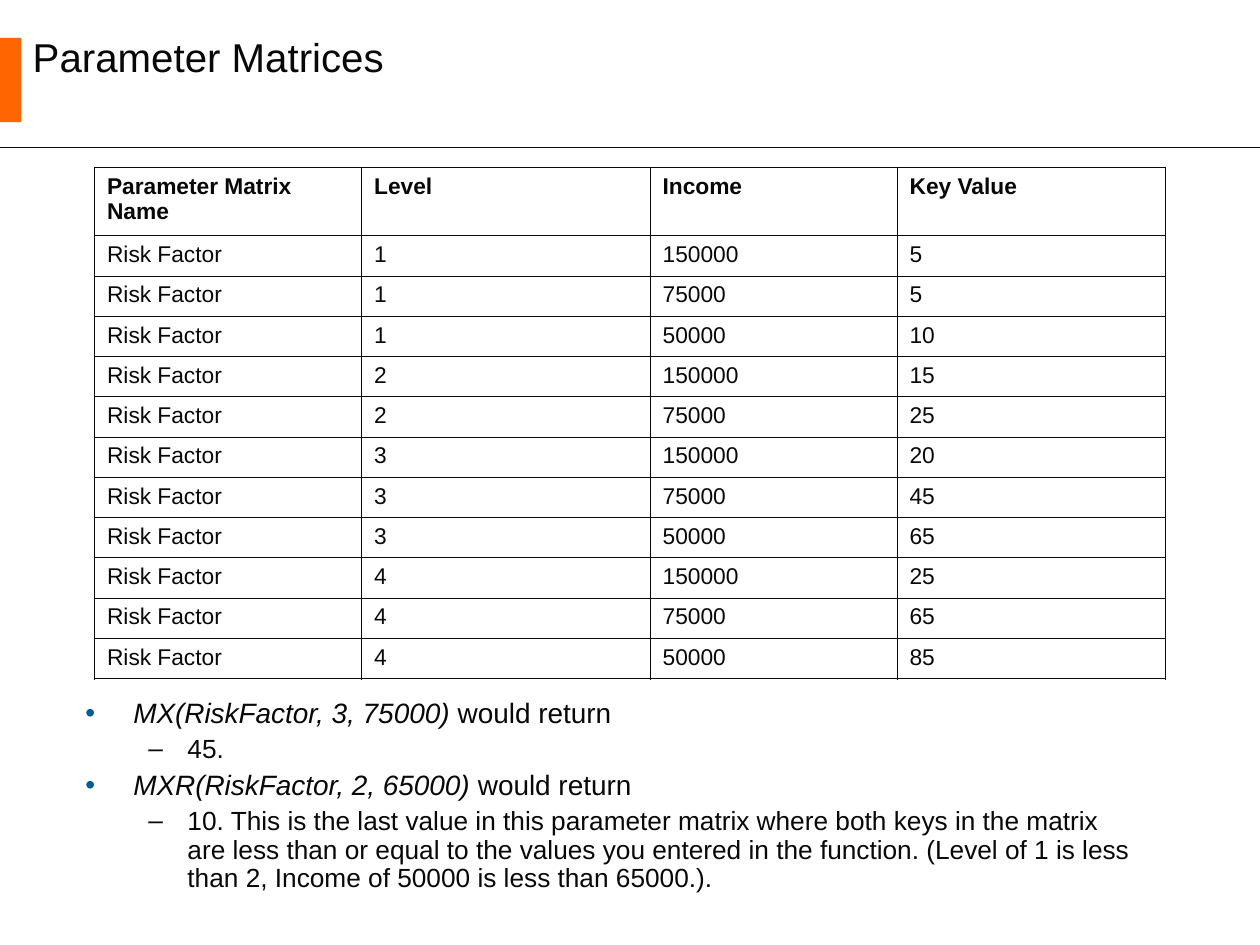
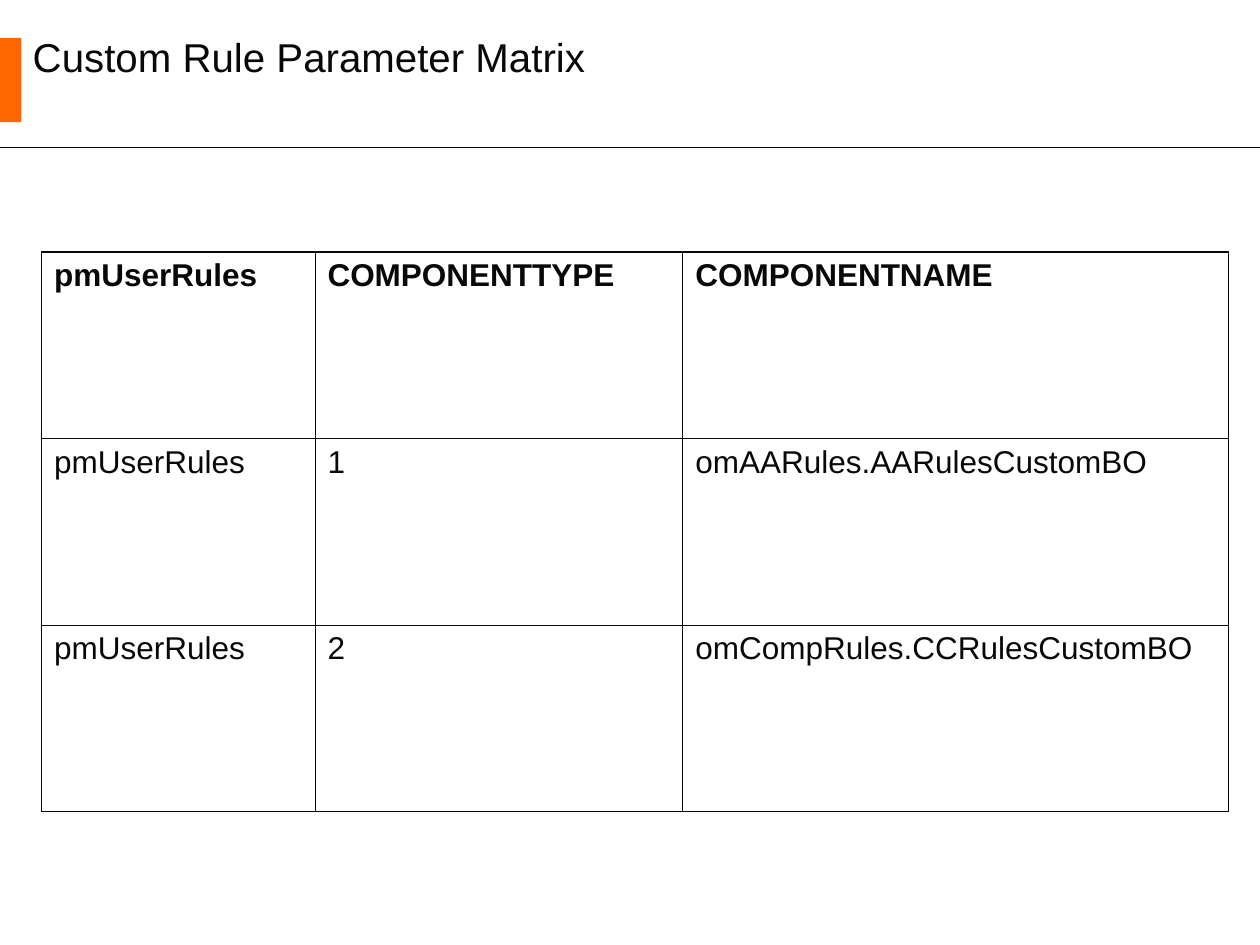
import pptx
import pptx.dml.color
import pptx.enum.shapes
import pptx.enum.text
import pptx.oxml.ns
import pptx.util
from lxml import etree
from pptx.util import Inches, Pt

COLORS = {"ink": "080808", "accent": "FF6600", "bullet": "005A9C"}
FONT = "Arial"
THIN, THICK = 0.45, 1.08
TITLE_ONLY = 5

FRAME_FORMAT = {
    "word_wrap": True,
    "auto_size": pptx.enum.text.MSO_AUTO_SIZE.NONE,
    "vertical_anchor": pptx.enum.text.MSO_ANCHOR.TOP,
    "margin_left": Inches(0.1),
    "margin_right": Inches(0.1),
    "margin_top": Inches(0.05),
    "margin_bottom": Inches(0.05),
}
BULLET_LEVELS = [
    {"char": "•", "color": "bullet", "margin": 0.38, "hang": 0.38, "size": 16, "before": 4},
    {"char": "–", "color": "ink", "margin": 0.81, "hang": 0.31, "size": 15, "before": 3.7},
]

RISK_HEADER = ("Parameter Matrix Name", "Level", "Income", "Key Value")
RISK_KEYS = [
    (1, 150000, 5), (1, 75000, 5), (1, 50000, 10),
    (2, 150000, 15), (2, 75000, 25),
    (3, 150000, 20), (3, 75000, 45), (3, 50000, 65),
    (4, 150000, 25), (4, 75000, 65), (4, 50000, 85),
]
RULE_ROWS = [
    ("pmUserRules", "COMPONENTTYPE", "COMPONENTNAME"),
    ("pmUserRules", 1, "omAARules.AARulesCustomBO"),
    ("pmUserRules", 2, "omCompRules.CCRulesCustomBO"),
]
# Each entry: level, function call in italics, plain text
RISK_EXAMPLES = [
    (0, "MX(RiskFactor, 3, 75000)", " would return"),
    (1, "", "45."),
    (0, "MXR(RiskFactor, 2, 65000)", " would return"),
    (1, "", "10. This is the last value in this parameter matrix where both keys in the "
            "matrix are less than or equal to the values you entered in the function. "
            "(Level of 1 is less than 2, Income of 50000 is less than 65000.)."),
]


def color(name):
    return pptx.dml.color.RGBColor.from_string(COLORS[name])


def apply_format(target, values):
    for attribute, value in values.items():
        setattr(target, attribute, value)


def add_xml(parent, tag, **attributes):
    return etree.SubElement(parent, pptx.oxml.ns.qn(tag), attributes)


def add_run(paragraph, text, size, bold=False, italic=False):
    run = paragraph.add_run()
    run.text = text
    apply_format(run.font, {"name": FONT, "size": Pt(size), "bold": bold, "italic": italic})
    run.font.color.rgb = color("ink")


def add_titled_slide(deck, title, title_height):
    """Add a slide with the accent band, the rule under the header and the title."""
    slide = deck.slides.add_slide(deck.slide_layouts[TITLE_ONLY])

    band = slide.shapes.add_shape(pptx.enum.shapes.MSO_SHAPE.RECTANGLE,
                                  0, Inches(0.3), Inches(0.17), Inches(0.67))
    band.shadow.inherit = False
    band.fill.solid()
    band.fill.fore_color.rgb = color("accent")
    band.line.fill.background()

    header_rule = slide.shapes.add_connector(pptx.enum.shapes.MSO_CONNECTOR.STRAIGHT,
                                             0, Inches(1.17), deck.slide_width, Inches(1.17))
    header_rule.line.color.rgb = color("ink")
    header_rule.line.width = Pt(0.75)
    add_xml(header_rule._element.spPr, "a:effectLst")

    heading = slide.shapes.title
    apply_format(heading, {"left": Inches(0.16), "top": Inches(0.21),
                           "width": Inches(6.97), "height": Inches(title_height)})
    apply_format(heading.text_frame, FRAME_FORMAT)
    paragraph = heading.text_frame.paragraphs[0]
    paragraph.alignment = pptx.enum.text.PP_ALIGN.LEFT
    add_run(paragraph, title, 23)
    return slide


def set_borders(cell, widths):
    """Draw cell borders; widths are points for left, right, top and bottom."""
    properties = cell._tc.get_or_add_tcPr()
    for index, (side, width) in enumerate(zip("LRTB", widths)):
        border = add_xml(properties, f"a:ln{side}", w=str(Pt(width)))
        fill = add_xml(border, "a:solidFill")
        add_xml(fill, "a:srgbClr", val=COLORS["ink"])
        properties.insert(index, border)


def add_grid(slide, rows, left, top, column_widths, row_heights, size, space_before=0):
    """Add a table with a bold header row, thin inner lines and a thick outline."""
    table = slide.shapes.add_table(len(rows), len(column_widths), Inches(left), Inches(top),
                                   Inches(sum(column_widths)), Inches(sum(row_heights))).table
    apply_format(table, {"first_row": False, "horz_banding": False})
    for column, width in zip(table.columns, column_widths):
        column.width = Inches(width)
    last_row, last_column = len(rows) - 1, len(column_widths) - 1
    for r, (values, height) in enumerate(zip(rows, row_heights)):
        table.rows[r].height = Inches(height)
        for c, value in enumerate(values):
            cell = table.cell(r, c)
            cell.fill.background()
            paragraph = cell.text_frame.paragraphs[0]
            paragraph.space_before = Pt(space_before)
            add_run(paragraph, str(value), size, bold=r == 0)
            on_outline = (c == 0, c == last_column, r == 0, r == last_row)
            set_borders(cell, [THICK if outer else THIN for outer in on_outline])


def set_bullet(paragraph, style):
    properties = paragraph._p.get_or_add_pPr()
    properties.set("marL", str(Inches(style["margin"])))
    properties.set("indent", str(-Inches(style["hang"])))
    add_xml(add_xml(properties, "a:buClr"), "a:srgbClr", val=COLORS[style["color"]])
    add_xml(properties, "a:buFont", typeface=FONT)
    add_xml(properties, "a:buChar", char=style["char"])


def add_bullets(slide, entries, left, top, width, height):
    frame = slide.shapes.add_textbox(Inches(left), Inches(top),
                                     Inches(width), Inches(height)).text_frame
    apply_format(frame, FRAME_FORMAT)
    for index, (level, call, text) in enumerate(entries):
        paragraph = frame.add_paragraph() if index else frame.paragraphs[0]
        style = BULLET_LEVELS[level]
        apply_format(paragraph, {"level": level, "line_spacing": 0.9,
                                 "space_before": Pt(style["before"])})
        set_bullet(paragraph, style)
        if call:
            add_run(paragraph, call, style["size"], italic=True)
        add_run(paragraph, text, style["size"])


def main():
    deck = pptx.Presentation()
    deck.slide_width, deck.slide_height = Inches(10), Inches(7.5)

    matrices = add_titled_slide(deck, "Parameter Matrices", 0.31)
    add_bullets(matrices, RISK_EXAMPLES, 0.58, 5.5, 8.5, 1.75)
    risk_rows = [RISK_HEADER] + [("Risk Factor", *keys) for keys in RISK_KEYS]
    add_grid(matrices, risk_rows, 0.75, 1.33, [2.12, 2.29, 1.96, 2.13],
             [0.54] + [0.32] * len(RISK_KEYS), size=13)

    custom_rules = add_titled_slide(deck, "Custom Rule Parameter Matrix", 0.52)
    add_grid(custom_rules, RULE_ROWS, 0.33, 2, [2.17, 2.92, 4.33],
             [1.48] * len(RULE_ROWS), size=18, space_before=4.5)

    deck.save("out.pptx")


if __name__ == "__main__":
    main()
